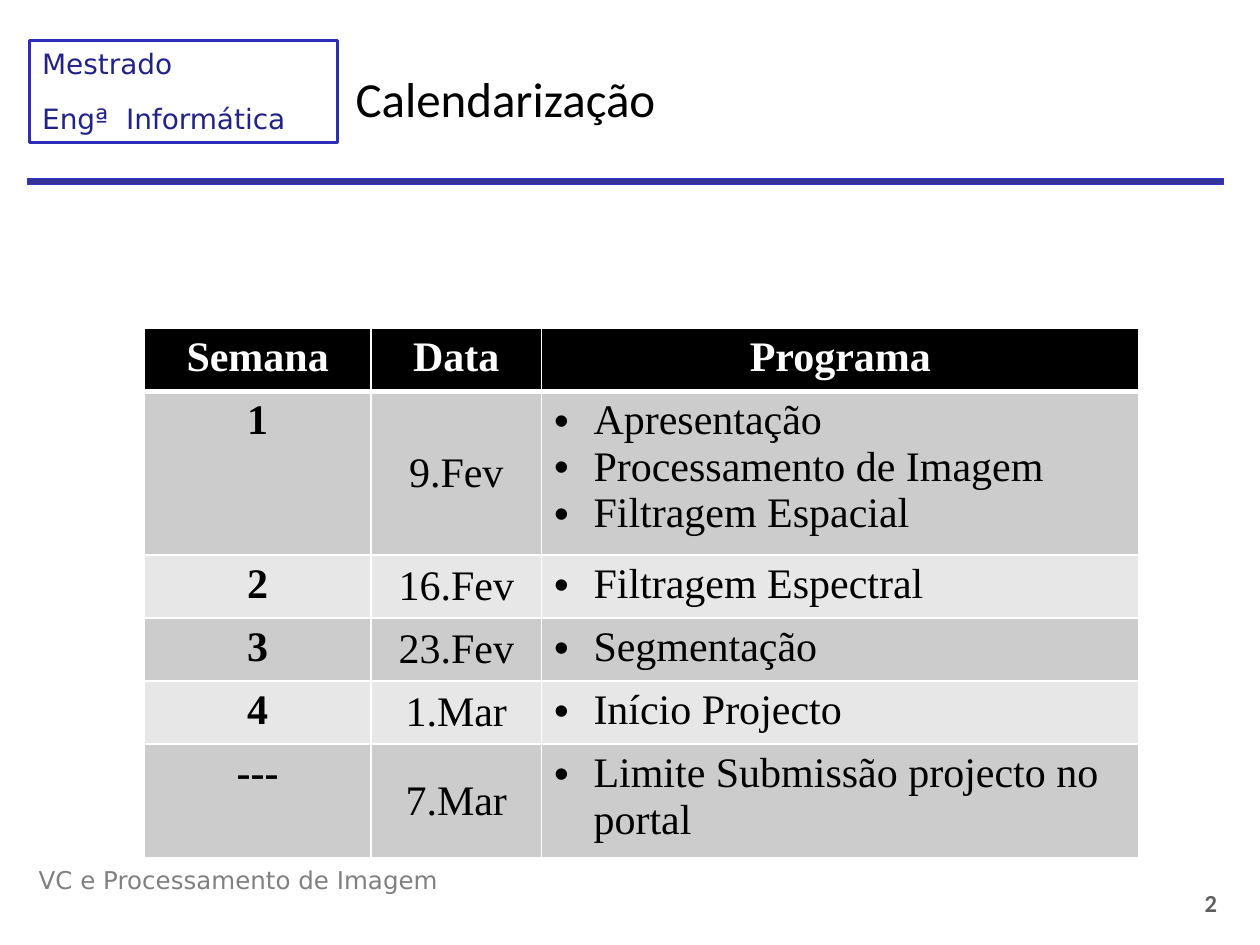
import pptx
import pptx.dml.color
import pptx.enum.shapes
import pptx.enum.text
import pptx.oxml
import pptx.oxml.ns
import pptx.util

Pt = pptx.util.Pt
ALIGN = pptx.enum.text.PP_ALIGN
ANCHOR = pptx.enum.text.MSO_ANCHOR
RECTANGLE = pptx.enum.shapes.MSO_SHAPE.RECTANGLE


def color(value):
    return pptx.dml.color.RGBColor.from_string(value)


def write(frame, lines, font, ink, align=ALIGN.LEFT, after=0):
    """Fill a text frame, one paragraph a line; font is a dict of font attributes."""
    frame.word_wrap = True
    for number, line in enumerate(lines):
        para = frame.paragraphs[0] if number == 0 else frame.add_paragraph()
        para.alignment = align
        para.space_after = Pt(after if number < len(lines) - 1 else 0)
        span = para.add_run()
        span.text = line
        for name, value in font.items():
            setattr(span.font, name, value)
        span.font.color.rgb = color(ink)


deck = pptx.Presentation()
deck.slide_width, deck.slide_height = Pt(720), Pt(540)
page = deck.slides.add_slide(deck.slide_layouts[5])

# Header: rule, course box and title
rule = page.shapes.add_shape(RECTANGLE, Pt(15.8), Pt(101.9), Pt(683.3), Pt(3.6))
rule.fill.solid()
rule.fill.fore_color.rgb = color("333399")
rule.line.color.rgb = color("3333CC")
rule.line.width = Pt(0.75)

course = page.shapes.add_shape(RECTANGLE, Pt(17), Pt(23.3), Pt(176), Pt(58.3))
course.fill.background()
course.line.color.rgb = color("2D2DB9")
course.line.width = Pt(1.5)
course.text_frame.vertical_anchor = ANCHOR.TOP
write(course.text_frame, ["Mestrado", "Engª  Informática"],
      {"name": "DejaVu Sans", "size": Pt(16)}, "22228B", after=12)

for box in (rule, course):
    box.shadow.inherit = False

title = page.shapes.title
title.left, title.top, title.width, title.height = Pt(196), Pt(26), Pt(500), Pt(60)
title.text_frame.vertical_anchor = ANCHOR.MIDDLE
write(title.text_frame, ["Calendarização"], {"name": "Calibri", "size": Pt(28)}, "000000")

# Footer
footer = page.shapes.add_textbox(Pt(15), Pt(491), Pt(288), Pt(36))
write(footer.text_frame, ["VC e Processamento de Imagem"],
      {"name": "DejaVu Sans", "size": Pt(14)}, "808080")
page_number = page.shapes.add_textbox(Pt(624.5), Pt(504), Pt(78), Pt(36))
write(page_number.text_frame, ["2"],
      {"name": "Calibri", "size": Pt(14), "bold": True}, "5F5F5F", ALIGN.RIGHT)

# Calendar table
calendar = [
    ("Semana", "Data", ["Programa"]),
    ("1", "9.Fev", ["Apresentação", "Processamento de Imagem", "Filtragem Espacial"]),
    ("2", "16.Fev", ["Filtragem Espectral"]),
    ("3", "23.Fev", ["Segmentação"]),
    ("4", "1.Mar", ["Início Projecto"]),
    ("---", "7.Mar", ["Limite Submissão projecto no portal"]),
]
widths = [129.5, 97.5, 341.5]
row_height = 29.5
table = page.shapes.add_table(len(calendar), len(widths), Pt(82.5), Pt(187.5),
                              Pt(sum(widths)), Pt(row_height * len(calendar))).table
for column, width in zip(table.columns, widths):
    column.width = Pt(width)

for row, (week, date, topics) in enumerate(calendar):
    header = row == 0
    fill = "000000" if header else ("E7E7E7", "CCCCCC")[row % 2]
    for column, lines in enumerate(([week], [date], topics)):
        cell = table.cell(row, column)
        bulleted = column == 2 and not header
        cell.vertical_anchor = ANCHOR.MIDDLE if column == 1 and not header else ANCHOR.TOP
        font = {"name": "Times New Roman", "size": Pt(24), "bold": header or column == 0}
        write(cell.text_frame, lines, font, "FFFFFF" if header else "000000",
              ALIGN.LEFT if bulleted else ALIGN.CENTER)

        if bulleted:
            for para in cell.text_frame.paragraphs:
                layout = para._p.get_or_add_pPr()
                layout.set("marL", str(Pt(22.5)))
                layout.set("indent", str(-Pt(22.5)))
                for tag, name, value in (("buFont", "typeface", "Arial"), ("buChar", "char", "•")):
                    bullet = pptx.oxml.parse_xml(
                        f'<a:{tag} {pptx.oxml.ns.nsdecls("a")} {name}="{value}"/>')
                    layout.append(bullet)

        borders = cell._tc.get_or_add_tcPr()
        for side in "LRTB":
            thick = (header and side == "B") or (row == 1 and side == "T")
            borders.append(pptx.oxml.parse_xml(
                f'<a:ln{side} {pptx.oxml.ns.nsdecls("a")} w="{Pt(3 if thick else 1)}">'
                f'<a:solidFill><a:srgbClr val="FFFFFF"/></a:solidFill></a:ln{side}>'))
        cell.fill.solid()
        cell.fill.fore_color.rgb = color(fill)

deck.save("out.pptx")
